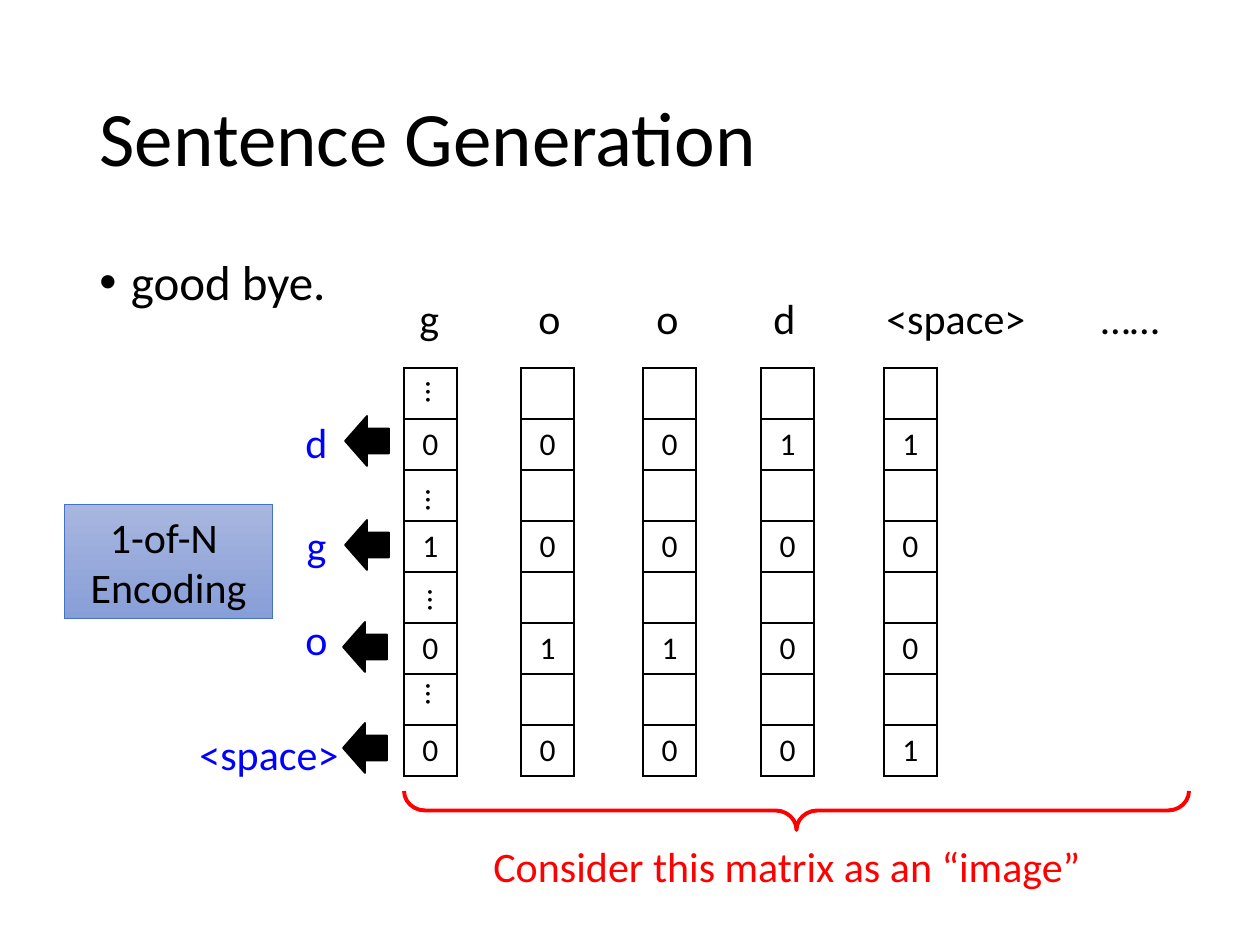
from lxml.etree import SubElement
from pptx import Presentation
from pptx.dml.color import RGBColor
from pptx.enum.shapes import MSO_SHAPE as Preset
from pptx.enum.text import MSO_ANCHOR as Anchor, MSO_AUTO_SIZE as AutoSize, PP_ALIGN as Align
from pptx.oxml.ns import qn
from pptx.util import Emu, Pt

PX_PER_INCH = 126
FONT = "Calibri"
BLACK, BLUE, RED = "000000", "0000FF", "FF0000"

# One-hot column of each character: left edge and digits for d, g, o, <space>
COLUMNS = [(404, "0100"), (521, "0010"), (643, "0010"), (761, "1000"), (884, "1001")]
CELL_WIDTH, CELL_HEIGHT, MATRIX_TOP = 53, 51, 368

# Characters above the matrix: text, left, width, alignment
HEADINGS = [
    ("g", 407, 47, Align.LEFT),
    ("o", 526, 47, Align.LEFT),
    ("o", 644, 47, Align.LEFT),
    ("d", 761, 47, Align.LEFT),
    ("<space>", 874, 176, Align.LEFT),
    ("……", 1087, 86, Align.CENTER),
]

# Row labels: text, left, top, width, then left and top of the arrow
ROW_LABELS = [
    ("d", 275, 410, 83, 345, 416),
    ("g", 275, 513, 83, 345, 520),
    ("o", 275, 607, 83, 343, 622),
    ("<space>", 181, 722, 176, 343, 723),
]

# Left and top of the turned ellipses in the first column
ELLIPSES = [(415, 367), (415, 475), (417, 575), (415, 669)]


def px(*lengths):
    return [Emu(round(length * 914400 / PX_PER_INCH)) for length in lengths]


def color(hex_code):
    return RGBColor.from_string(hex_code)


def format_text(frame, size, hex_code=BLACK, align=Align.LEFT):
    for paragraph in frame.paragraphs:
        paragraph.alignment = align
        for run in paragraph.runs:
            run.font.name = FONT
            run.font.size = Pt(size)
            run.font.color.rgb = color(hex_code)


def add_title(slide, text):
    title = slide.shapes.title
    title.left, title.top, title.width, title.height = px(87, 50, 1086, 183)
    frame = title.text_frame
    frame.text = text
    frame.vertical_anchor = Anchor.MIDDLE
    frame.paragraphs[0].line_spacing = 0.9
    format_text(frame, 44)


def add_label(slide, text, box, size=24, hex_code=BLACK, align=Align.CENTER, wrap=True):
    label = slide.shapes.add_textbox(*px(*box))
    frame = label.text_frame
    frame.text = text
    frame.word_wrap = wrap
    frame.auto_size = AutoSize.SHAPE_TO_FIT_TEXT
    format_text(frame, size, hex_code, align)
    return label


def add_bullet(slide, text, box):
    body = slide.shapes.add_textbox(*px(*box))
    frame = body.text_frame
    frame.word_wrap = True
    frame.text = text
    paragraph = frame.paragraphs[0]
    paragraph.line_spacing = 0.9
    properties = paragraph._p.get_or_add_pPr()
    properties.set("marL", "228600")
    properties.set("indent", "-228600")
    SubElement(properties, qn("a:buFont"), typeface="Arial")
    SubElement(properties, qn("a:buChar"), char="•")
    format_text(frame, 28)


def add_borders(cell):
    properties = cell._tc.get_or_add_tcPr()
    for position, side in enumerate(("lnL", "lnR", "lnT", "lnB")):
        border = SubElement(properties, qn(f"a:{side}"), w=str(Pt(1)))
        fill = SubElement(border, qn("a:solidFill"))
        SubElement(fill, qn("a:srgbClr"), val=BLACK)
        properties.insert(position, border)


def add_one_hot_column(slide, left, digits):
    row_count = 2 * len(digits)
    box = px(left, MATRIX_TOP, CELL_WIDTH, CELL_HEIGHT * row_count)
    column = slide.shapes.add_table(row_count, 1, *box).table
    column.first_row = column.horz_banding = False
    for index in range(row_count):
        cell = column.cell(index, 0)
        cell.fill.background()
        add_borders(cell)
        if index % 2:
            cell.text = digits[index // 2]
            format_text(cell.text_frame, 18, align=Align.CENTER)


def add_preset(slide, preset, box, line_color, line_width):
    shape = slide.shapes.add_shape(preset, *px(*box))
    shape.shadow.inherit = False
    shape.line.color.rgb = color(line_color)
    shape.line.width = Pt(line_width)
    return shape


def add_arrow(slide, left, top):
    arrow = add_preset(slide, Preset.LEFT_ARROW, (left, top, 44, 50), BLACK, 1)
    arrow.fill.solid()
    arrow.fill.fore_color.rgb = color(BLACK)


def add_brace(slide, box):
    brace = add_preset(slide, Preset.RIGHT_BRACE, box, RED, 2.25)
    brace.fill.background()
    brace.rotation = 90
    brace.adjustments[0] = 0.54
    brace.adjustments[1] = 0.5


def add_encoding_box(slide, text, box):
    encoding = add_preset(slide, Preset.RECTANGLE, box, "4472C4", 0.5)
    encoding.fill.gradient()
    encoding.fill.gradient_angle = 270
    for stop, (position, hex_code) in zip(encoding.fill.gradient_stops, [(0, "A8B7DF"), (1, "889ED7")]):
        stop.position = position
        stop.color.rgb = color(hex_code)
    encoding.text_frame.text = text
    encoding.text_frame.word_wrap = True
    format_text(encoding.text_frame, 24, align=Align.CENTER)


def main():
    deck = Presentation()
    deck.slide_width, deck.slide_height = px(1260, 945)
    slide = deck.slides.add_slide(deck.slide_layouts[5])

    # Title and sentence
    add_title(slide, "Sentence Generation")
    add_bullet(slide, "good bye.", (87, 252, 1086, 600))

    # Matrix with a character above each column
    for text, left, width, align in HEADINGS:
        add_label(slide, text, (left, 286, width, 63), align=align)
    for left, digits in COLUMNS:
        add_one_hot_column(slide, left, digits)
    for left, top in ELLIPSES:
        ellipsis = add_label(slide, "…", (left, top, 48, 50), size=18, wrap=False)
        ellipsis.rotation = 90

    # Row labels and their arrows
    for text, left, top, width, arrow_left, arrow_top in ROW_LABELS:
        add_label(slide, text, (left, top, width, 63), hex_code=BLUE)
        add_arrow(slide, arrow_left, arrow_top)

    # Remarks on the encoding and the matrix
    add_label(slide, "Consider this matrix as an “image”", (397, 834, 780, 63), hex_code=RED)
    add_brace(slide, (777, 418, 39, 785))
    add_encoding_box(slide, "1-of-N \nEncoding", (64, 504, 209, 115))

    deck.save("out.pptx")


if __name__ == "__main__":
    main()
